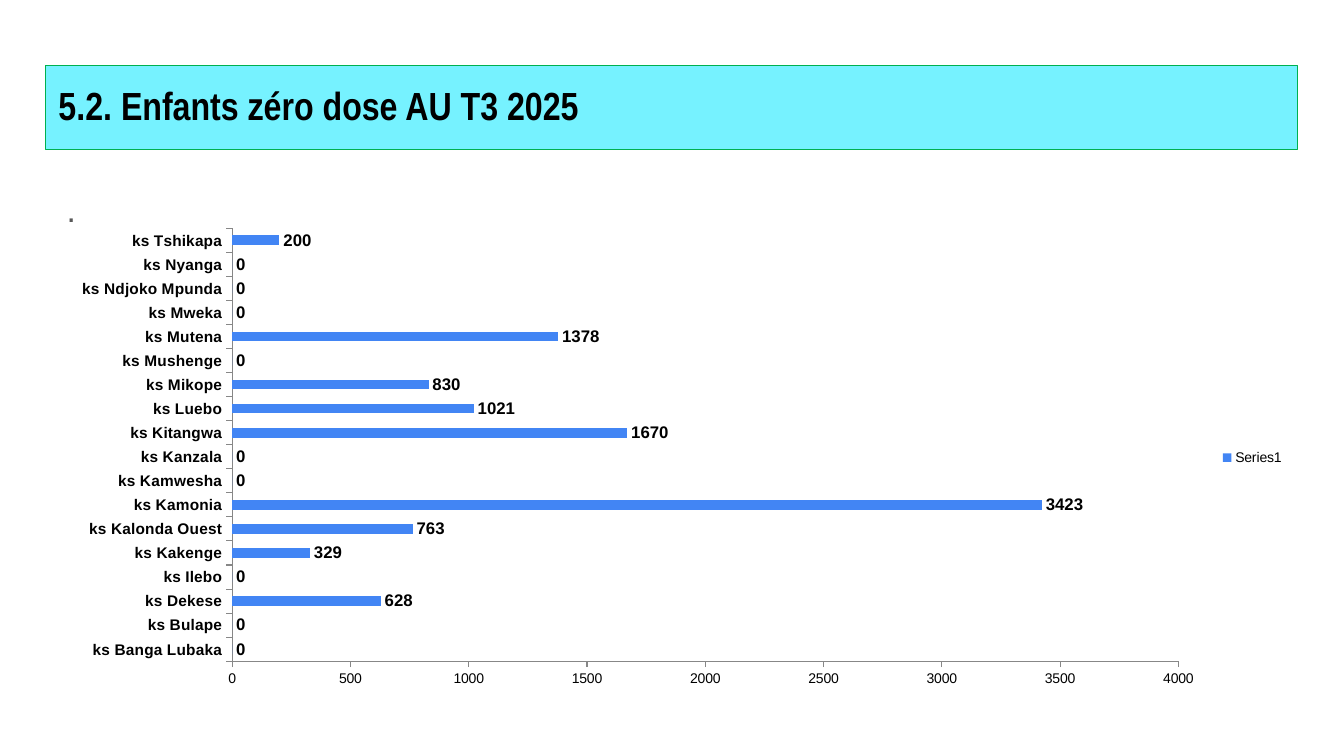
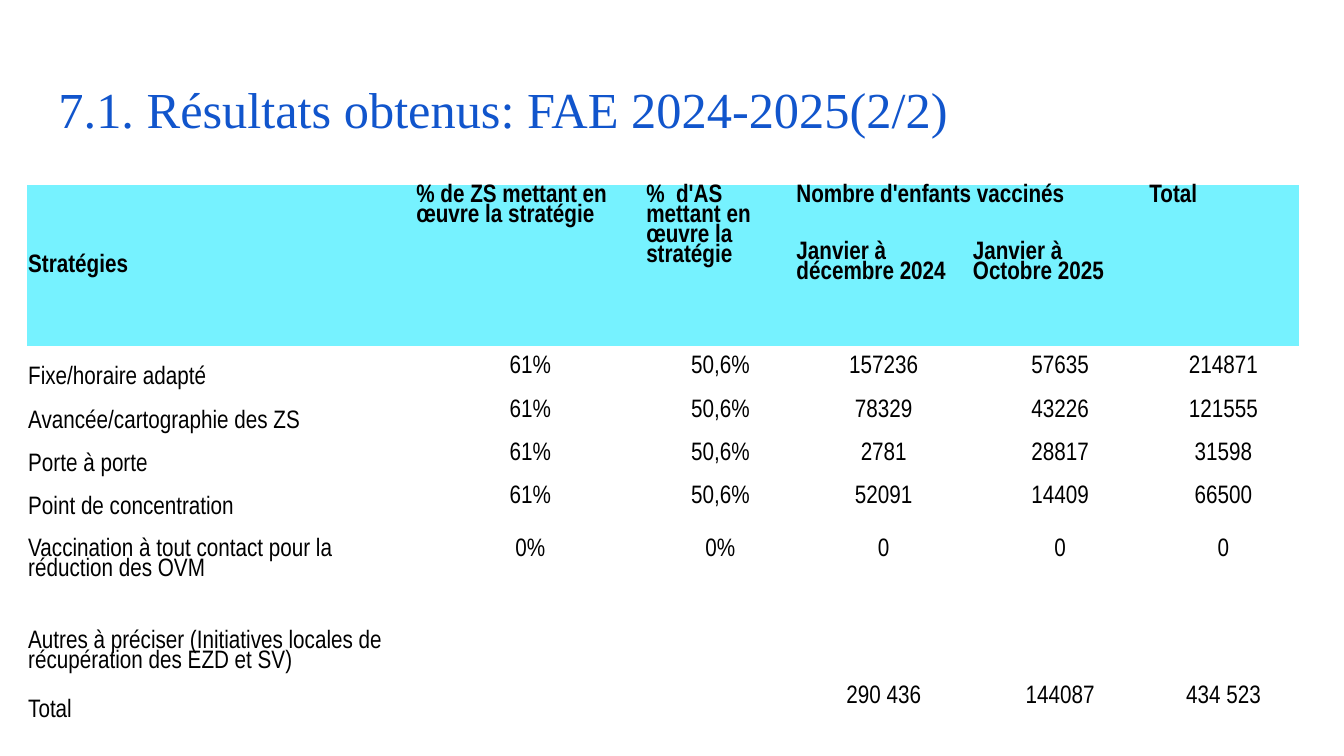
from pptx import Presentation
from pptx.chart.data import CategoryChartData
from pptx.dml.color import RGBColor
from pptx.enum.chart import XL_CHART_TYPE, XL_LABEL_POSITION, XL_LEGEND_POSITION, XL_TICK_MARK
from pptx.enum.text import MSO_ANCHOR, PP_ALIGN
from pptx.oxml.ns import qn
from pptx.util import Pt

PX = 9144
BLACK = RGBColor(0x00, 0x00, 0x00)
GRAY = RGBColor(0x59, 0x59, 0x59)
AXIS_GRAY = RGBColor(0x87, 0x87, 0x87)
CYAN = RGBColor(0x76, 0xF2, 0xFF)
GREEN = RGBColor(0x00, 0xB0, 0x50)
TITLE_BLUE = RGBColor(0x11, 0x55, 0xCC)
BAR_BLUE = RGBColor(0x42, 0x85, 0xF4)
NARROW = "Arial Narrow"
NO_STYLE = "{2D5ABB26-0587-4C30-8999-92F81FD0307C}"
TITLE_BOX = (45, 65, 1242, 83)
BODY_BOX = (45, 168, 1242, 498)


def px(*lengths):
    return [length * PX for length in lengths]


def write(frame, text, font=NARROW, size=18, color=BLACK, bold=False,
          align=PP_ALIGN.LEFT, spacing=1.0, indent=0):
    frame.word_wrap = True
    paragraph = frame.paragraphs[0]
    paragraph.alignment = align
    paragraph.line_spacing = spacing
    if indent:
        paragraph._p.get_or_add_pPr().set("marL", str(indent * PX))
    run = paragraph.add_run()
    run.text = text
    run.font.name = font
    run.font.size = Pt(size)
    run.font.bold = bold
    run.font.color.rgb = color


presentation = Presentation()
presentation.slide_width, presentation.slide_height = px(1333, 750)
blank = presentation.slide_layouts[6]

chart_slide = presentation.slides.add_slide(blank)
table_slide = presentation.slides.add_slide(blank)

boxes = []
for slide, position, anchor, bottom in (
    (chart_slide, TITLE_BOX, MSO_ANCHOR.MIDDLE, 13),
    (chart_slide, BODY_BOX, MSO_ANCHOR.TOP, 13),
    (table_slide, TITLE_BOX, MSO_ANCHOR.BOTTOM, 10),
):
    box = slide.shapes.add_textbox(*px(*position))
    frame = box.text_frame
    frame.vertical_anchor = anchor
    frame.margin_left, frame.margin_top, frame.margin_right, frame.margin_bottom = px(13, 13, 13, bottom)
    boxes.append(box)

chart_title, body, table_title = boxes
chart_title.fill.solid()
chart_title.fill.fore_color.rgb = CYAN
chart_title.line.color.rgb = GREEN
chart_title.line.width = Pt(0.75)
write(chart_title.text_frame, "5.2. Enfants zéro dose AU T3 2025", size=28, bold=True, spacing=0.9)
write(body.text_frame, ".", font="Arial", size=24, color=GRAY, spacing=1.15, indent=8)
write(table_title.text_frame, "7.1. Résultats obtenus: FAE 2024-2025(2/2)",
      font="Times New Roman", size=36, color=TITLE_BLUE)

zero_dose = {
    "ks Banga Lubaka": 0, "ks Bulape": 0, "ks Dekese": 628, "ks Ilebo": 0,
    "ks Kakenge": 329, "ks Kalonda Ouest": 763, "ks Kamonia": 3423,
    "ks Kamwesha": 0, "ks Kanzala": 0, "ks Kitangwa": 1670, "ks Luebo": 1021,
    "ks Mikope": 830, "ks Mushenge": 0, "ks Mutena": 1378, "ks Mweka": 0,
    "ks Ndjoko Mpunda": 0, "ks Nyanga": 0, "ks Tshikapa": 200,
}
chart_data = CategoryChartData(number_format="0")
chart_data.categories = list(zero_dose)
chart_data.add_series("Series1", list(zero_dose.values()))
chart = chart_slide.shapes.add_chart(
    XL_CHART_TYPE.BAR_CLUSTERED, *px(57, 217, 1227, 474), chart_data).chart
chart.has_title = False
chart.font.name = "Arial"
chart.font.size = Pt(10)
chart.font.color.rgb = BLACK
chart.has_legend = True
chart.legend.position = XL_LEGEND_POSITION.RIGHT
chart.legend.include_in_layout = False

for axis, size, bold in ((chart.category_axis, 11, True), (chart.value_axis, 10, False)):
    axis.has_major_gridlines = False
    axis.major_tick_mark = XL_TICK_MARK.OUTSIDE
    axis.minor_tick_mark = XL_TICK_MARK.NONE
    axis.format.line.color.rgb = AXIS_GRAY
    axis.tick_labels.font.size = Pt(size)
    axis.tick_labels.font.bold = bold
chart.value_axis.minimum_scale = 0
chart.value_axis.maximum_scale = 4000
chart.value_axis.major_unit = 500

plot = chart.plots[0]
plot.gap_width = 150
plot.vary_by_categories = False
bars = plot.series[0]
bars.format.fill.solid()
bars.format.fill.fore_color.rgb = BAR_BLUE
labels = bars.data_labels
labels.show_value = True
labels.number_format = "0"
labels.number_format_is_linked = False
labels.position = XL_LABEL_POSITION.OUTSIDE_END
labels.font.size = Pt(12)
labels.font.bold = True

column_widths = (385, 228, 149, 175, 175, 149)
row_heights = (57, 91, 43, 43, 43, 43, 61, 91, 49)
rows = (
    ("Stratégies", "% de ZS mettant en œuvre la stratégie", "%  d'AS mettant en œuvre la stratégie",
     "Nombre d'enfants vaccinés", "", "Total"),
    ("", "", "", "Janvier à décembre 2024", "Janvier à Octobre 2025", ""),
    ("Fixe/horaire adapté", "61%", "50,6%", "157236", "57635", "214871"),
    ("Avancée/cartographie des ZS", "61%", "50,6%", "78329", "43226", "121555"),
    ("Porte à porte", "61%", "50,6%", "2781", "28817", "31598"),
    ("Point de concentration", "61%", "50,6%", "52091", "14409", "66500"),
    ("Vaccination à tout contact pour la réduction des OVM", "0%", "0%", "0", "0", "0"),
    ("Autres à préciser (Initiatives locales de récupération des EZD et SV)", "", "", "", "", ""),
    ("Total", "", "", "290 436", "144087", "434 523"),
)
table = table_slide.shapes.add_table(
    len(rows), len(column_widths),
    *px(27, 184, sum(column_widths), sum(row_heights))).table
table.first_row = False
table.horz_banding = False
table._tbl.tblPr.find(qn("a:tableStyleId")).text = NO_STYLE
for column, width in zip(table.columns, column_widths):
    column.width = width * PX
for row, height in zip(table.rows, row_heights):
    row.height = height * PX
for column_index in (0, 1, 2, 5):
    table.cell(0, column_index).merge(table.cell(1, column_index))
table.cell(0, 3).merge(table.cell(0, 4))

for row_index, row_texts in enumerate(rows):
    header = row_index < 2
    for column_index, text in enumerate(row_texts):
        cell = table.cell(row_index, column_index)
        cell.margin_left, cell.margin_top, cell.margin_right, cell.margin_bottom = px(1, 1, 1, 0)
        if header:
            cell.fill.solid()
            cell.fill.fore_color.rgb = CYAN
        else:
            cell.fill.background()
        if header and column_index:
            cell.vertical_anchor = MSO_ANCHOR.TOP
        elif header or column_index:
            cell.vertical_anchor = MSO_ANCHOR.MIDDLE
        else:
            cell.vertical_anchor = MSO_ANCHOR.BOTTOM
        if text:
            centred = column_index and not header
            write(cell.text_frame, text, bold=header, spacing=0.84,
                  align=PP_ALIGN.CENTER if centred else PP_ALIGN.LEFT)

presentation.save("out.pptx")
